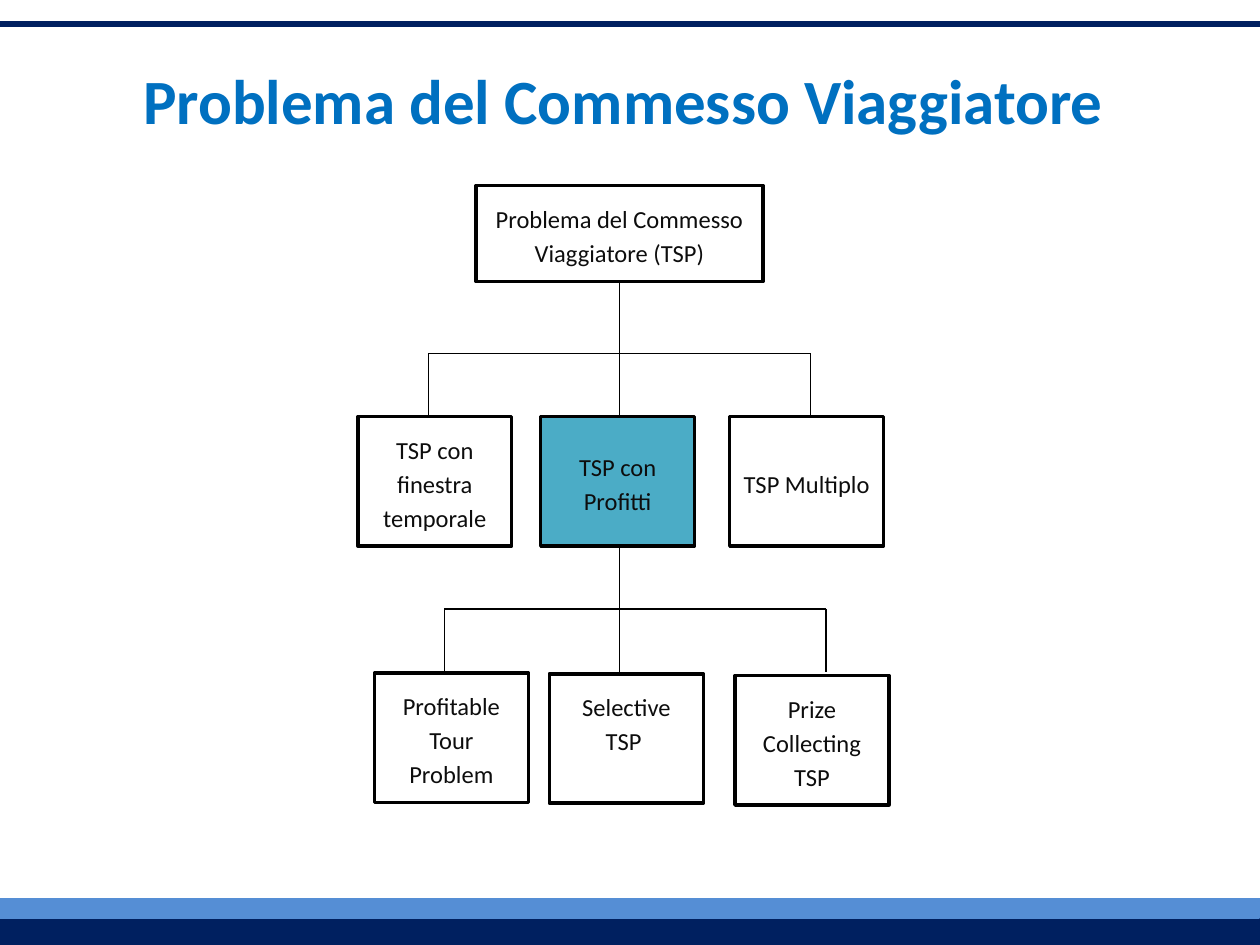
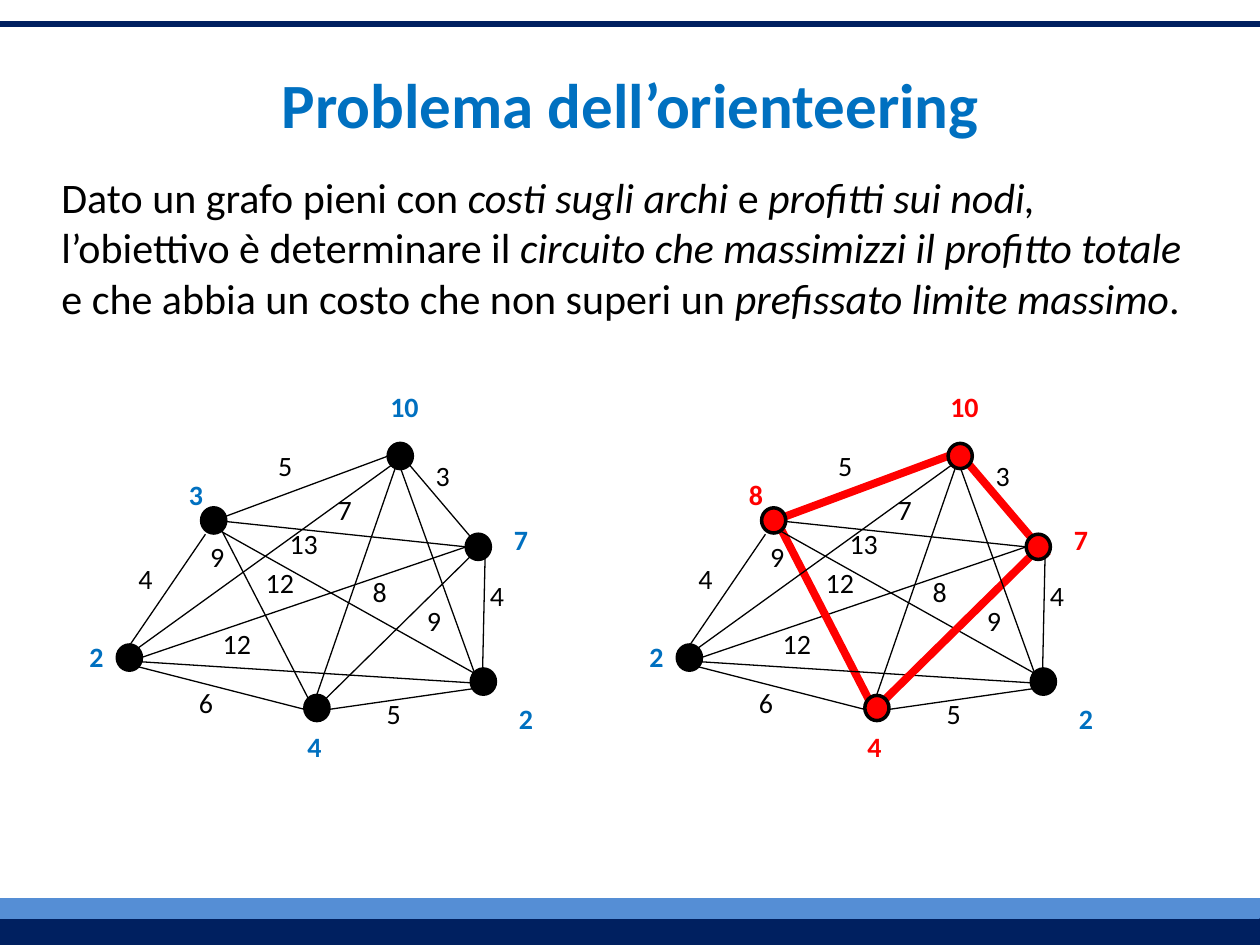
from pptx import Presentation
from pptx.dml.color import RGBColor
from pptx.enum.shapes import MSO_CONNECTOR, MSO_SHAPE
from pptx.enum.text import MSO_ANCHOR, MSO_AUTO_SIZE, PP_ALIGN
from pptx.oxml.ns import qn
from pptx.util import Pt
from lxml.etree import SubElement

NAVY = RGBColor(0x00, 0x20, 0x60)
SKY = RGBColor(0x55, 0x8E, 0xD5)
BLUE = RGBColor(0x00, 0x70, 0xC0)
TEAL = RGBColor(0x4B, 0xAC, 0xC6)
RED = RGBColor(0xFF, 0x00, 0x00)
BLACK = RGBColor(0x00, 0x00, 0x00)
INK = RGBColor(0x0D, 0x0D, 0x0D)

HEAD = {"name": "Calibri", "size": Pt(36), "bold": True}
BODY = {"name": "Calibri", "size": Pt(24)}
SLANT = {**BODY, "italic": True}
LABEL = {"name": "Calibri", "size": Pt(14)}
COST = {"name": "Calibri", "size": Pt(16)}
PRIZE = {**COST, "bold": True}

CENTER = {"alignment": PP_ALIGN.CENTER}
LEFT = {"alignment": PP_ALIGN.LEFT}
SPACED = {**CENTER, "line_spacing": 1.15, "space_after": Pt(10)}
GROW = {"word_wrap": True, "auto_size": MSO_AUTO_SIZE.SHAPE_TO_FIT_TEXT}
TIGHT = {**GROW, "word_wrap": False}
MIDDLE = {"word_wrap": True, "vertical_anchor": MSO_ANCHOR.MIDDLE}

TREE = (204, 106, 304, 354)
CARD = (88, 74)
ROWS = [
    {
        "bus": 96, "foot": 132, "xs": (41, 150, 259),
        "cards": [
            ("TSP con finestra temporale", 0.5, 132, None),
            ("TSP con Profitti", 105, 132, TEAL),
            ("TSP Multiplo", 213, 132, None),
        ],
    },
    {
        "bus": 242, "foot": 278, "xs": (50, 150, 268),
        "cards": [
            ("Profitable Tour Problem", 10, 278.5, None),
            ("Selective TSP ", 110, 279, None),
            ("Prize Collecting TSP", 216, 280, None),
        ],
    },
]

DOT = (13.8, 14.4)
NODES = {
    "A": (71.2, 71.2), "B": (177.8, 34.4), "C": (130.2, 178.4),
    "D": (225.3, 163.3), "E": (23, 149.6), "F": (222.4, 86.3),
}
EDGES = {
    "EF": (36.6, 156.8, 222.4, 93.5),
    "EC": (34.5, 161.9, 130.2, 186.4),
    "BF": (190, 46.7, 234.6, 99.2),
    "EA": (30.2, 149.6, 73.4, 86.3),
    "AB": (82.7, 76.9, 177.8, 41.6),
    "AC": (82.7, 84.1, 132.4, 180.6),
    "EB": (27.3, 156.8, 179.9, 46.7),
    "ED": (23, 158.3, 225.3, 171.2),
    "AF": (79.1, 78.4, 222.4, 93.5),
    "AD": (76.2, 81.2, 226.7, 165.5),
    "FD": (233.2, 99.2, 231.8, 163.3),
    "DC": (229.6, 174.1, 143.9, 186.4),
    "FC": (224.6, 99.2, 141.8, 180.6),
    "BD": (185, 48.8, 231.8, 178.4),
    "CB": (132.4, 191.4, 183.5, 43.8),
}
COSTS = [
    ("5", 107.9, 33.7), ("4", 28, 98.5), ("6", 62.6, 169.1),
    ("3", 197.9, 39.5), ("5", 169.8, 175.6), ("4", 228.9, 107.9),
    ("12", 76.2, 135.2), ("12", 100.7, 100.7), ("9", 69, 85.6),
    ("8", 161.9, 105.7), ("7", 141.8, 58.9), ("9", 192.9, 122.3),
    ("13", 114.4, 78.4),
]
SPOTS = {
    "A": (56.8, 50.3), "E": (0, 143.2), "C": (124.5, 194.3),
    "B": (172, 0), "F": (242.6, 76.2), "D": (245.4, 178.4),
}
GAINS = {"A": "3", "E": "2", "C": "4", "B": "10", "F": "7", "D": "2"}
TOUR = {"AB", "BF", "FC", "AC"}


def dress(part, form):
    for key, value in form.items():
        setattr(part, key, value)


def write(frame, runs, shade, para, form):
    dress(frame, form)
    line = frame.paragraphs[0]
    dress(line, para)
    for text, font in runs:
        run = line.add_run()
        run.text = text
        dress(run.font, font)
        run.font.color.rgb = shade


def note(shapes, box, runs, shade, para=LEFT, form=GROW):
    item = shapes.add_textbox(*map(Pt, box))
    write(item.text_frame, runs, shade, para, form)


def block(shapes, kind, box, fill, edge):
    item = shapes.add_shape(kind, *map(Pt, box))
    item.shadow.inherit = False
    if fill is None:
        item.fill.background()
    else:
        item.fill.solid()
        item.fill.fore_color.rgb = fill
    item.line.color.rgb = edge
    item.line.width = Pt(2)
    return item


def stroke(shapes, ends, shade=BLACK, width=0.75):
    item = shapes.add_connector(MSO_CONNECTOR.STRAIGHT, *map(Pt, ends))
    item.line.color.rgb = shade
    item.line.width = Pt(width)
    SubElement(item._element.spPr, qn("a:effectLst"))
    return item


def frame(deck, title, top):
    shapes = deck.slides.add_slide(deck.slide_layouts[6]).shapes
    stroke(shapes, (0, 13.7, 720, 13.7), NAVY, 3)
    block(shapes, MSO_SHAPE.RECTANGLE, (0, 524.2, 720, 15.8), NAVY, NAVY)
    block(shapes, MSO_SHAPE.RECTANGLE, (-0.5, 514, 720, 10), SKY, SKY)
    note(shapes, (21.5, top, 677.5, 51), [(title, HEAD)], BLUE, CENTER)
    return shapes


def card(shapes, text, box, fill=None):
    item = block(shapes, MSO_SHAPE.RECTANGLE, box, fill, BLACK)
    write(item.text_frame, [(text, LABEL)], INK, SPACED, MIDDLE)
    return item


def branch(shapes, box, stem, row):
    left, top = box[:2]
    bus, foot = top + row["bus"], top + row["foot"]
    xs = [left + x for x in row["xs"]]
    trunk = stroke(shapes, (xs[1], top + stem, xs[1], bus))
    stroke(shapes, (xs[0], bus, xs[-1], bus))
    for x in xs:
        stroke(shapes, (x, bus, x, foot))
    cards = [
        card(shapes, text, (left + x, top + y, *CARD), fill)
        for text, x, y, fill in row["cards"]
    ]
    return trunk, cards


def tree(shapes, box):
    left, top = box[:2]
    group = shapes.add_group_shape().shapes
    root = card(group, "Problema del Commesso Viaggiatore (TSP)", (left + 68, top, 164, 55))
    trunk, _ = branch(group, box, 55, ROWS[0])
    trunk.begin_connect(root, 2)
    _, leaves = branch(group, box, 206, ROWS[1])
    leaves[1].text_frame.margin_bottom = Pt(23)


def graph(shapes, box, gains, tour):
    left, top = box[:2]
    group = shapes.add_group_shape().shapes
    hot = set("".join(tour))
    for name, (x1, y1, x2, y2) in EDGES.items():
        style = (RED, 4.5) if name in tour else (BLACK, 0.75)
        stroke(group, (left + x1, top + y1, left + x2, top + y2), *style)
    for name, (x, y) in NODES.items():
        fill = RED if name in hot else BLACK
        block(group, MSO_SHAPE.OVAL, (left + x, top + y, *DOT), fill, BLACK)
    for text, x, y in COSTS:
        width = 27.4 if len(text) == 1 else 37.4
        note(group, (left + x, top + y, width, 34.6), [(text, COST)], BLACK, form=TIGHT)
    for name, (x, y) in SPOTS.items():
        text = gains[name]
        width = 23 if len(text) == 1 else 31
        shade = RED if name in hot else BLUE
        note(group, (left + x, top + y, width, 26.6), [(text, PRIZE)], shade, form=TIGHT)


def main():
    deck = Presentation()
    dress(deck, {"slide_width": Pt(720), "slide_height": Pt(540)})

    tree(frame(deck, "Problema del Commesso Viaggiatore ", 31.7), TREE)

    shapes = frame(deck, "Problema dell’orienteering", 33.8)
    note(shapes, (28, 94.3, 663, 94.3), [
        ("Dato un grafo pieni con ", BODY),
        ("costi sugli archi", SLANT),
        (" e ", BODY),
        ("profitti sui nodi, ", SLANT),
        ("l’obiettivo è determinare il ", BODY),
        ("circuito che massimizzi il profitto totale ", SLANT),
        ("e che abbia un costo che non superi un ", BODY),
        ("prefissato limite massimo", SLANT),
        (".", BODY),
    ], BLACK)
    graph(shapes, (44, 219, 269, 221), GAINS, set())
    graph(shapes, (364, 219, 269, 221), {**GAINS, "A": "8"}, TOUR)

    deck.save("out.pptx")


if __name__ == "__main__":
    main()
